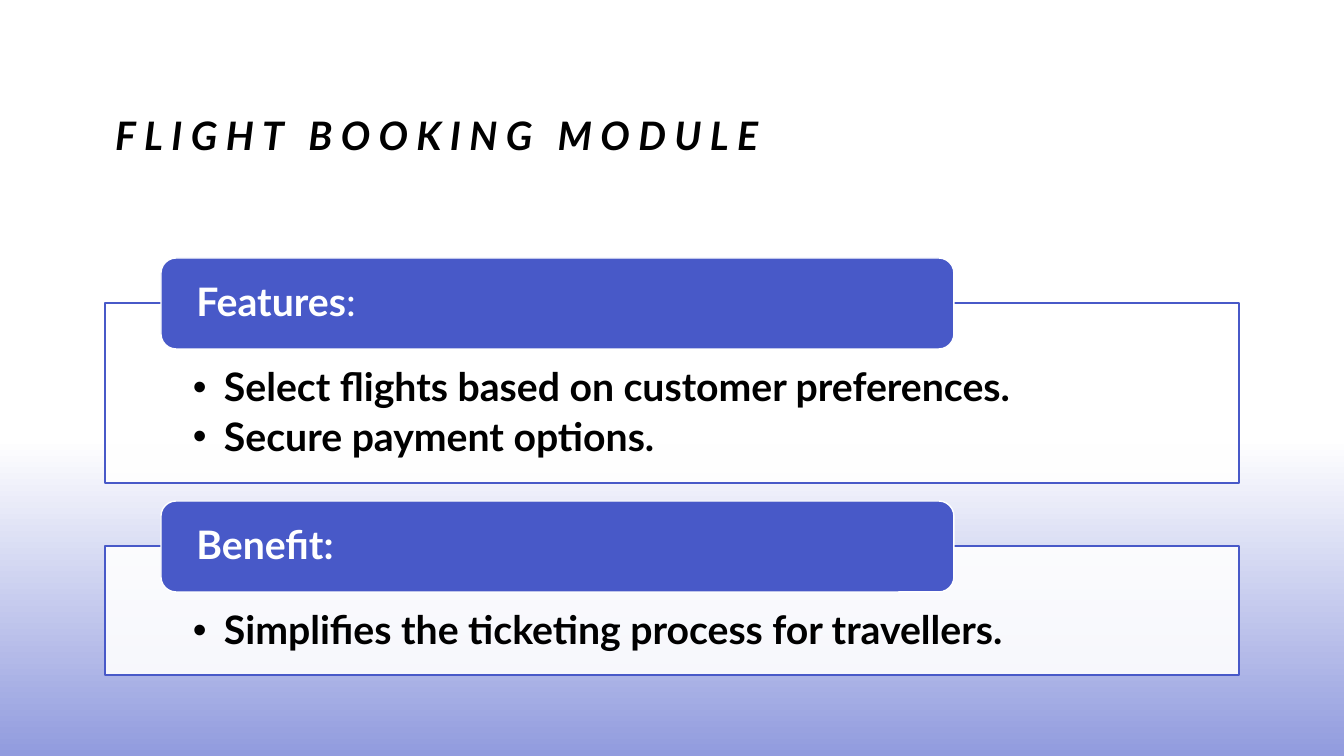
from dataclasses import dataclass

from lxml import etree
from pptx import Presentation
from pptx import util as u
from pptx.dml.color import RGBColor
from pptx.enum import shapes, text
from pptx.oxml.ns import qn


@dataclass(frozen=True)
class Theme:
    font: str = "Lato"
    size: int = 28
    spacing: int = 600  # hundredths of a point
    ink: RGBColor = RGBColor(0, 0, 0)
    paper: RGBColor = RGBColor(255, 255, 255)
    accent: RGBColor = RGBColor(0x48, 0x59, 0xC8)
    glow: RGBColor = RGBColor(0x91, 0x9B, 0xDE)


THEME = Theme()
LEFT, WIDTH = 105, 1134
PILL_LEFT, PILL_WIDTH, PILL_HEIGHT = 161, 793, 91

# Panel top, panel height, heading runs (text, bold), bullets
SECTIONS = [
    (303, 180, [("Features", True), (":", False)],
     ["Select flights based on customer preferences.", "Secure payment options."]),
    (546, 129, [("Benefit:", True)],
     ["Simplifies the ticketing process for travellers."]),
]


def px(n):
    return u.Emu(round(n * 914400 / 100.8))


def add_box(slide, kind, left, top, width, height, line=None):
    sp = slide.shapes.add_shape(kind, px(left), px(top), px(width), px(height))
    sp.shadow.inherit = False
    if line is None:
        sp.line.fill.background()
    else:
        sp.line.color.rgb = line
        sp.line.width = u.Pt(1)
    return sp


def set_frame(sp, anchor, left, top, right, bottom):
    tf = sp.text_frame
    tf.word_wrap = True
    tf.vertical_anchor = anchor
    tf.margin_left, tf.margin_top = px(left), px(top)
    tf.margin_right, tf.margin_bottom = px(right), px(bottom)
    return tf


def add_run(p, words, color, bold=True, italic=False):
    r = p.add_run()
    r.text = words
    r.font.name = THEME.font
    r.font.size = u.Pt(THEME.size)
    r.font.color.rgb = color
    r.font.bold = bold
    r.font.italic = italic
    return r


def add_bullet(p, words):
    p.alignment = text.PP_ALIGN.LEFT
    p.line_spacing = 0.9
    p.space_after = u.Pt(5)
    pPr = p._p.get_or_add_pPr()
    pPr.set("marL", str(px(31)))
    pPr.set("indent", str(-px(31)))
    etree.SubElement(pPr, qn("a:buFont")).set("typeface", "Arial")
    etree.SubElement(pPr, qn("a:buChar")).set("char", "•")
    add_run(p, words, THEME.ink)


def add_glow(slide):
    sp = add_box(slide, shapes.MSO_SHAPE.RECTANGLE, 0, 387, 1344, 369)
    sp.fill.gradient()
    sp.fill.gradient_angle = 270
    stops = zip(sp.fill.gradient_stops, [(0.14, THEME.paper), (1, THEME.glow)])
    for stop, (position, color) in stops:
        stop.position = position
        stop.color.rgb = color


def add_title(slide, words):
    sp = slide.shapes.add_textbox(px(LEFT), px(84), px(WIDTH), px(127))
    tf = set_frame(sp, text.MSO_ANCHOR.BOTTOM, 10, 5, 10, 53)
    p = tf.paragraphs[0]
    p.line_spacing = 1.2
    r = add_run(p, words, THEME.ink, italic=True)
    r._r.get_or_add_rPr().set("spc", str(THEME.spacing))


def add_panel(slide, top, height, bullets):
    sp = add_box(slide, shapes.MSO_SHAPE.RECTANGLE, LEFT, top, WIDTH, height, THEME.accent)
    sp.fill.solid()
    sp.fill.fore_color.rgb = THEME.paper
    color = sp._element.spPr.find(qn("a:solidFill"))[0]
    etree.SubElement(color, qn("a:alpha")).set("val", "90000")
    tf = set_frame(sp, text.MSO_ANCHOR.TOP, 88, 65, 88, 22)
    for i, words in enumerate(bullets):
        add_bullet(tf.add_paragraph() if i else tf.paragraphs[0], words)


def add_pill(slide, middle, runs):
    sp = add_box(slide, shapes.MSO_SHAPE.ROUNDED_RECTANGLE, PILL_LEFT,
                 middle - PILL_HEIGHT // 2, PILL_WIDTH, PILL_HEIGHT, THEME.paper)
    sp.fill.solid()
    sp.fill.fore_color.rgb = THEME.accent
    tf = set_frame(sp, text.MSO_ANCHOR.MIDDLE, 31, 0, 31, 0)
    p = tf.paragraphs[0]
    p.alignment = text.PP_ALIGN.LEFT
    p.line_spacing = 0.9
    for words, bold in runs:
        add_run(p, words, THEME.paper, bold)


def main():
    prs = Presentation()
    prs.slide_width, prs.slide_height = px(1344), px(756)
    slide = prs.slides.add_slide(prs.slide_layouts[6])

    # Background and title
    add_glow(slide)
    add_title(slide, "FLIGHT BOOKING MODULE")

    # Panels, each with its heading across the top edge
    for top, height, heading, bullets in SECTIONS:
        add_panel(slide, top, height, bullets)
        add_pill(slide, top, heading)

    prs.save("out.pptx")


if __name__ == "__main__":
    main()
